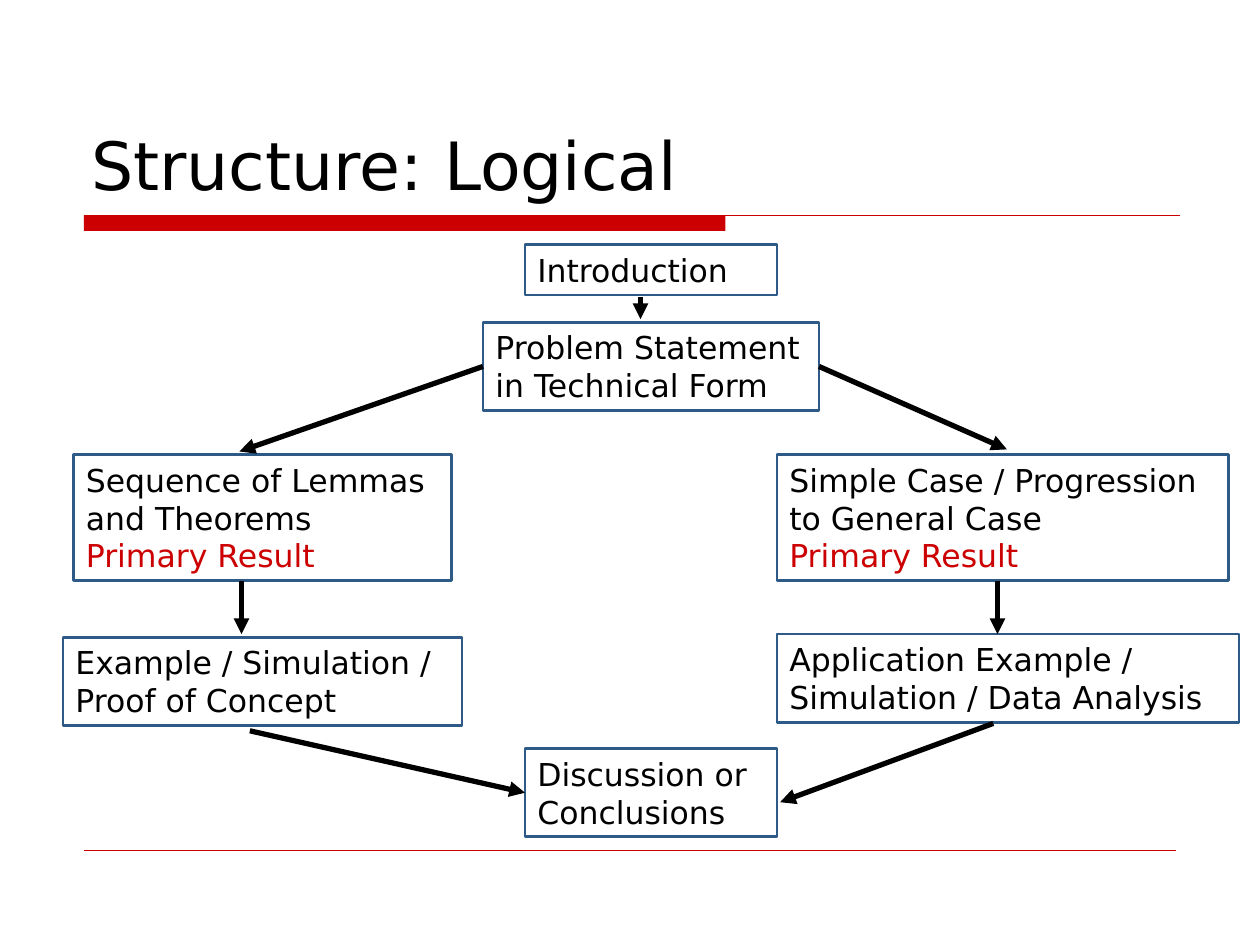
from dataclasses import dataclass
from typing import Optional

from lxml.etree import SubElement
from pptx import Presentation
from pptx.dml.color import RGBColor
from pptx.enum.shapes import MSO_CONNECTOR as Connector, MSO_SHAPE as Preset
from pptx.enum.text import MSO_ANCHOR as Anchor, MSO_AUTO_SIZE as AutoSize, PP_ALIGN as Align
from pptx.oxml.ns import qn
from pptx.util import Inches, Pt

COLORS = {"ink": "000000", "accent": "CC0000", "border": "2D5A87"}
FONT = "DejaVu Sans"
COLUMNS, ROWS = 120, 90
TOP, LEFT, BOTTOM, RIGHT = range(4)

deck = Presentation()
deck.slide_width, deck.slide_height = Inches(10), Inches(7.5)
page = deck.slides.add_slide(deck.slide_layouts[6])


@dataclass(frozen=True)
class Step:
    name: str
    column: float
    row: float
    columns: float
    rows: float
    text: str
    result: str = ""


@dataclass(frozen=True)
class Arrow:
    start: tuple[float, float]
    end: tuple[float, float]
    source: Optional[tuple[str, int]] = None
    target: Optional[tuple[str, int]] = None


STEPS = [
    Step("introduction", 50, 23.3, 24, 4.8, "Introduction"),
    Step("problem", 46, 30.7, 32, 8.4, "Problem Statement in Technical Form"),
    Step("lemmas", 7, 43.3, 36, 12, "Sequence of Lemmas and Theorems", "Primary Result"),
    Step("example", 6, 60.7, 38, 8.4, "Example / Simulation / Proof of Concept"),
    Step("conclusions", 50, 71.3, 24, 8.4, "Discussion or Conclusions"),
    Step("cases", 74, 43.3, 43, 12, "Simple Case / Progression to General Case", "Primary Result"),
    Step("application", 74, 60.4, 44, 8.4, "Application Example / Simulation / Data Analysis"),
]

ARROWS = [
    Arrow((61, 28.3), (61, 30.4)),
    Arrow((23, 55.3), (23, 60.4)),
    Arrow((78.2, 35.4), (95.9, 42.8), source=("problem", RIGHT)),
    Arrow((95, 55.3), (95, 60.4)),
    Arrow((45.8, 35.3), (22.8, 43), source=("problem", LEFT)),
    Arrow((94.6, 68.9), (74.3, 76.4)),
    Arrow((23.8, 69.6), (49.7, 75.1), target=("conclusions", LEFT)),
]


def across(columns: float) -> int:
    return round(deck.slide_width * columns / COLUMNS)


def down(rows: float) -> int:
    return round(deck.slide_height * rows / ROWS)


def color(name: str) -> RGBColor:
    return RGBColor.from_string(COLORS[name])


def set_font(font, size: float, name: str) -> None:
    font.name, font.size = FONT, Pt(size)
    font.color.rgb = color(name)


def add_title(text: str) -> None:
    box = page.shapes.add_textbox(across(7.5), down(4), across(105), down(16))
    box.text_frame.word_wrap = True
    box.text_frame.vertical_anchor = Anchor.BOTTOM
    para = box.text_frame.paragraphs[0]
    para.text = text
    set_font(para.font, 38, "ink")


def add_line(start: tuple[float, float], end: tuple[float, float], name: str, width: float):
    line = page.shapes.add_connector(
        Connector.STRAIGHT, across(start[0]), down(start[1]), across(end[0]), down(end[1]))
    line.line.color.rgb = color(name)
    line.line.width = Pt(width)
    SubElement(line._element.spPr, qn("a:effectLst"))
    return line


def add_bar(column: float, row: float, columns: float, rows: float) -> None:
    bar = page.shapes.add_shape(
        Preset.RECTANGLE, across(column), down(row), across(columns), down(rows))
    bar.shadow.inherit = False
    bar.fill.solid()
    bar.fill.fore_color.rgb = color("accent")
    bar.line.fill.background()


def add_step(step: Step):
    box = page.shapes.add_shape(
        Preset.RECTANGLE, across(step.column), down(step.row),
        across(step.columns), down(step.rows))
    box.shadow.inherit = False
    box.fill.background()
    box.line.color.rgb = color("border")
    box.line.width = Pt(1.5)
    frame = box.text_frame
    frame.word_wrap = True
    frame.auto_size = AutoSize.SHAPE_TO_FIT_TEXT
    frame.vertical_anchor = Anchor.TOP
    para = frame.paragraphs[0]
    para.alignment = Align.LEFT
    para.text = step.text
    set_font(para.font, 18, "ink")
    if step.result:
        para.add_line_break()
        span = para.add_run()
        span.text = step.result
        set_font(span.font, 18, "accent")
    return box


def add_arrow(arrow: Arrow, boxes: dict) -> None:
    line = add_line(arrow.start, arrow.end, "ink", 3)
    SubElement(line.line._get_or_add_ln(), qn("a:tailEnd"), type="triangle")
    if arrow.source:
        name, side = arrow.source
        line.begin_connect(boxes[name], side)
    if arrow.target:
        name, side = arrow.target
        line.end_connect(boxes[name], side)


def main() -> None:
    add_bar(8, 20.5, 61.1, 1.5)
    add_line((8, 20.5), (112.4, 20.5), "accent", 0.75)
    add_line((8, 81), (112, 81), "accent", 0.25)
    add_title("Structure: Logical")
    boxes = {step.name: add_step(step) for step in STEPS}
    for arrow in ARROWS:
        add_arrow(arrow, boxes)
    deck.save("out.pptx")


if __name__ == "__main__":
    main()
